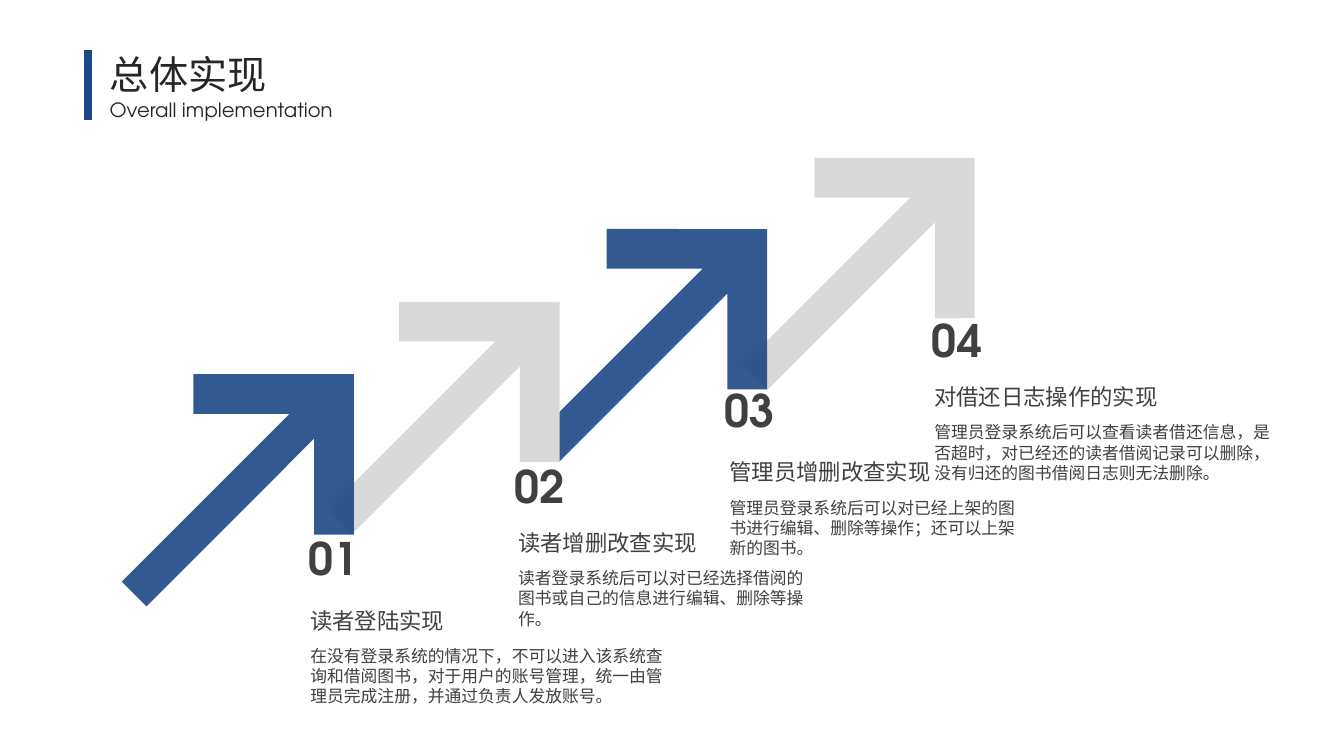
"""Build the overall implementation slide with four rising arrows."""
from dataclasses import dataclass

from pptx import Presentation
from pptx import util as u
from pptx.dml.color import RGBColor
from pptx.enum import shapes, text
from pptx.oxml import ns
from lxml import etree

COLORS = {"blue": "1C4885", "gray": "D9D9D9", "title": "262626", "body": "404040"}
CJK_FONT = "Calibri"
LATIN_FONT = "TeX Gyre Adventor"
ARROW_ANGLE = 135
ARROW_LENGTH = 222
UPPER_OUTLINE = [(0, 0), (81, -81), (101, -61), (52.5, -12.5), (ARROW_LENGTH, -12.5)]
LOWER_OUTLINE = [(x, -y) for x, y in reversed(UPPER_OUTLINE[1:])]
ARROW_OUTLINE = UPPER_OUTLINE + LOWER_OUTLINE
HEADING_HEIGHT = 26.6
BODY_OFFSET = 27.8


@dataclass
class Step:
    """One numbered arrow and its caption, in points."""
    number: str
    heading: str
    body: str
    color: str
    opacity: int
    center: tuple[float, float]
    number_left: float
    number_top: float
    left: float
    top: float
    body_width: float


@dataclass
class TextStyle:
    """The look of a text run."""
    size: float
    font: str
    color: str
    bold: bool = False


NUMBER = TextStyle(32, LATIN_FONT, "body", True)
HEADING = TextStyle(16, CJK_FONT, "body")
BODY = TextStyle(12, CJK_FONT, "body")
TITLE = TextStyle(28, CJK_FONT, "title")
SUBTITLE = TextStyle(14, LATIN_FONT, "title")

STEPS = [
    Step("01", "读者登陆实现",
         "在没有登录系统的情况下，不可以进入该系统查询和借阅图书，对于用户的账号管理，统一由管理员完成注册，并通过负责人发放账号。",
         "blue", 90, (174.2, 345.8), 213.1, 375.5, 214.6, 429.8, 267.8),
    Step("02", "读者增删改查实现",
         "读者登录系统后可以对已经选择借阅的图书或自己的信息进行编辑、删除等操作。",
         "gray", 100, (321.2, 294.1), 360.7, 324, 363.1, 374.4, 225.4),
    Step("03", "管理员增删改查实现",
         "管理员登录系统后可以对已经上架的图书进行编辑、删除等操作；还可以上架新的图书。",
         "blue", 90, (469.4, 242.1), 510.5, 270, 514.1, 323.8, 225.4),
    Step("04", "对借还日志操作的实现",
         "管理员登录系统后可以查看读者借还信息，是否超时，对已经还的读者借阅记录可以删除，没有归还的图书借阅日志则无法删除。",
         "gray", 100, (617.7, 191.3), 658.6, 219.6, 660.3, 270.2, 261.4),
]


def rgb(name: str) -> RGBColor:
    """Return a named colour."""
    return RGBColor.from_string(COLORS[name])


def write(shape, content: str, style: TextStyle, align=text.PP_ALIGN.LEFT) -> None:
    """Put one styled run into a shape."""
    frame = shape.text_frame
    frame.word_wrap = True
    frame.vertical_anchor = text.MSO_ANCHOR.TOP
    frame.auto_size = text.MSO_AUTO_SIZE.SHAPE_TO_FIT_TEXT
    paragraph = frame.paragraphs[0]
    paragraph.alignment = align
    run = paragraph.add_run()
    run.text = content
    run.font.size = u.Pt(style.size)
    run.font.name = style.font
    run.font.bold = style.bold
    run.font.color.rgb = rgb(style.color)
    east_asian = etree.SubElement(run.font._element, ns.qn("a:ea"))
    east_asian.set("typeface", style.font)


def add_text(slide, left: float, top: float, width: float, height: float,
             content: str, style: TextStyle, align=text.PP_ALIGN.LEFT) -> None:
    """Add a text box measured in points."""
    box = slide.shapes.add_textbox(u.Pt(left), u.Pt(top), u.Pt(width), u.Pt(height))
    write(box, content, style, align)


def add_arrow(slide, step: Step) -> None:
    """Draw a left-pointing arrow about its centre and turn it up to the right."""
    center_x, center_y = step.center
    tip_x = center_x - ARROW_LENGTH / 2
    points = [(u.Pt(tip_x + x), u.Pt(center_y + y)) for x, y in ARROW_OUTLINE]
    builder = slide.shapes.build_freeform(*points[0])
    builder.add_line_segments(points[1:], close=True)
    arrow = builder.convert_to_shape()
    arrow.rotation = ARROW_ANGLE
    arrow.shadow.inherit = False
    arrow.line.fill.background()
    arrow.fill.solid()
    arrow.fill.fore_color.rgb = rgb(step.color)
    if step.opacity < 100:
        color = arrow._element.spPr.find(f"{ns.qn('a:solidFill')}/{ns.qn('a:srgbClr')}")
        etree.SubElement(color, ns.qn("a:alpha")).set("val", str(step.opacity * 1000))


def add_caption(slide, step: Step) -> None:
    """Add the number, heading and description of a step."""
    add_text(slide, step.number_left, step.number_top, 58.3, 46, step.number, NUMBER)
    add_text(slide, step.left, step.top, 175, HEADING_HEIGHT, step.heading, HEADING)
    add_text(slide, step.left, step.top + BODY_OFFSET, step.body_width, 51, step.body, BODY)


def add_header(slide) -> None:
    """Place the title, the subtitle and the bar beside them."""
    title = slide.shapes.title
    title.left, title.top, title.width, title.height = map(u.Pt, (71.3, 32.4, 200.2, 41))
    write(title, "总体实现", TITLE)
    add_text(slide, 71.3, 66.2, 177.1, 24.5, "Overall implementation", SUBTITLE,
             text.PP_ALIGN.JUSTIFY)
    bar = slide.shapes.add_connector(
        shapes.MSO_CONNECTOR.STRAIGHT, u.Pt(62.8), u.Pt(35.8), u.Pt(62.8), u.Pt(85.8))
    bar.line.color.rgb = rgb("blue")
    bar.line.width = u.Pt(6)
    etree.SubElement(bar._element.spPr, ns.qn("a:effectLst"))


def main() -> None:
    """Create and save the presentation."""
    presentation = Presentation()
    presentation.slide_width = u.Pt(960)
    presentation.slide_height = u.Pt(540)
    slide = presentation.slides.add_slide(presentation.slide_layouts[5])
    add_header(slide)
    for step in reversed(STEPS):
        add_arrow(slide, step)
    for step in STEPS:
        add_caption(slide, step)
    presentation.save("out.pptx")


if __name__ == "__main__":
    main()
